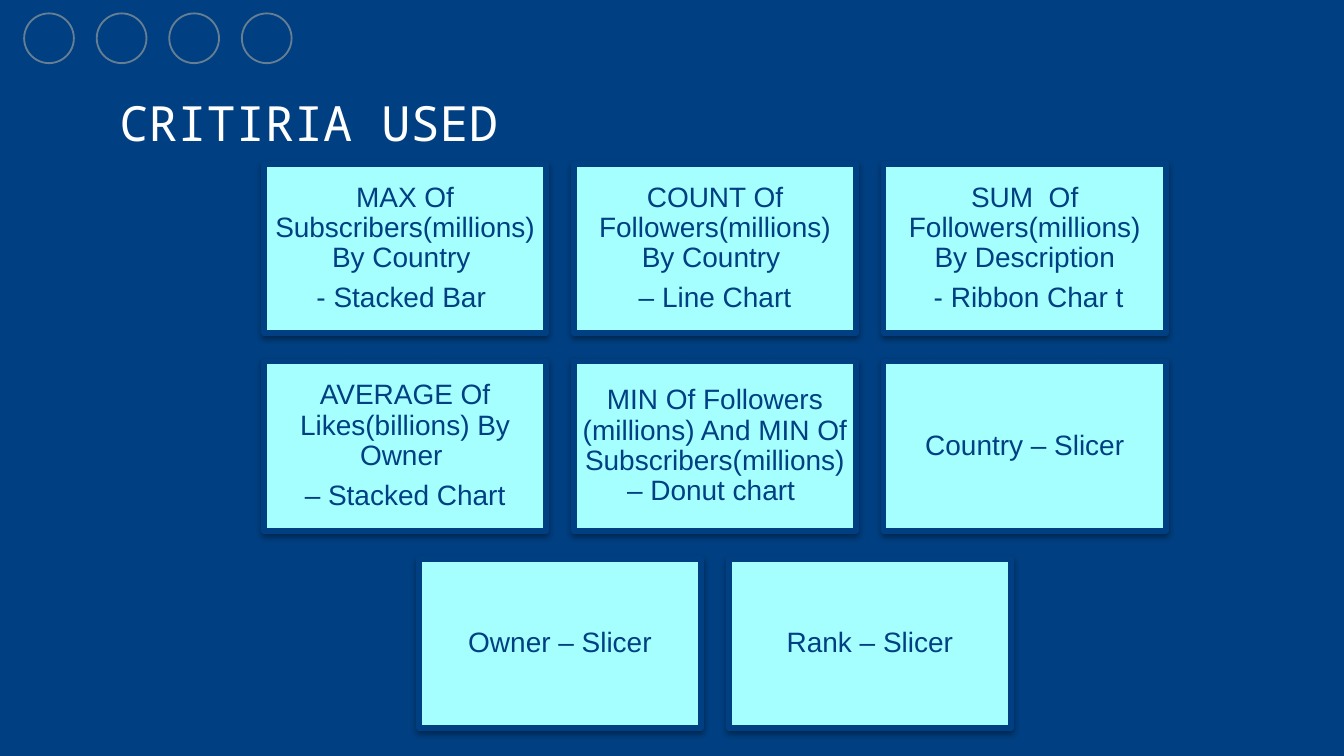
from dataclasses import dataclass

from lxml import etree
from pptx import Presentation
from pptx import util as u
from pptx.dml.color import RGBColor
from pptx.enum import shapes, text
from pptx.oxml.ns import qn

NAVY = RGBColor(0x00, 0x3F, 0x81)
AQUA = RGBColor(0xA5, 0xFF, 0xFF)
WHITE = RGBColor(0xFF, 0xFF, 0xFF)
SLATE = RGBColor(0x65, 0x7E, 0x93)

# Card grid, in inches
CARD_WIDTH, CARD_HEIGHT = 2.1, 1.26
COLUMN_STEP, ROW_STEP = 2.305, 1.47
GRID_CENTER, GRID_TOP = 5.32, 1.22

# Icon rings, in inches
RING_COUNT, RING_SIZE = 4, 0.37
RING_LEFT, RING_TOP, RING_STEP = 0.18, 0.1, 0.54


@dataclass(frozen=True)
class Card:
    lines: tuple[str, ...]


CARD_ROWS = (
    (
        Card(("MAX Of Subscribers(millions) By Country ", "- Stacked Bar ")),
        Card(("COUNT Of Followers(millions) By Country ", "– Line Chart")),
        Card(("SUM  Of Followers(millions) By Description", " - Ribbon Char t")),
    ),
    (
        Card(("AVERAGE Of Likes(billions) By Owner ", "– Stacked Chart")),
        Card(("MIN Of Followers (millions) And MIN Of Subscribers(millions) – Donut chart ",)),
        Card(("Country – Slicer",)),
    ),
    (Card(("Owner – Slicer",)), Card(("Rank – Slicer",))),
)


def write_text(shape, lines: tuple[str, ...], *, font: str, size: float,
               color: RGBColor, inset: float, align=text.PP_ALIGN.LEFT,
               anchor=text.MSO_ANCHOR.TOP, line_spacing: float = 1.0,
               space_after: float = 0) -> None:
    frame = shape.text_frame
    frame.word_wrap = True
    frame.vertical_anchor = anchor
    frame.margin_left = frame.margin_right = u.Inches(inset)
    frame.margin_top = frame.margin_bottom = u.Inches(inset)
    for index, line in enumerate(lines):
        paragraph = frame.add_paragraph() if index else frame.paragraphs[0]
        paragraph.alignment = align
        paragraph.line_spacing = line_spacing
        paragraph.space_after = u.Pt(space_after)
        run = paragraph.add_run()
        run.text = line
        run.font.name = font
        run.font.size = u.Pt(size)
        run.font.color.rgb = color


def add_drop_shadow(shape) -> None:
    effects = shape._element.spPr.find(qn("a:effectLst"))
    shadow = etree.SubElement(
        effects, qn("a:outerShdw"), blurRad=str(u.Pt(3.1)), dist=str(u.Pt(1.6)),
        dir="5400000", algn="ctr", rotWithShape="0")
    color = etree.SubElement(shadow, qn("a:srgbClr"), val="000000")
    etree.SubElement(color, qn("a:alpha"), val="38000")


def draw_card(slide, card: Card, left: float, top: float) -> None:
    shape = slide.shapes.add_shape(
        shapes.MSO_SHAPE.RECTANGLE, u.Inches(left), u.Inches(top),
        u.Inches(CARD_WIDTH), u.Inches(CARD_HEIGHT))
    shape.fill.solid()
    shape.fill.fore_color.rgb = AQUA
    shape.line.color.rgb = NAVY
    shape.line.width = u.Pt(3)
    shape.shadow.inherit = False
    add_drop_shadow(shape)
    write_text(shape, card.lines, font="Arial", size=15, color=NAVY, inset=0.06,
               align=text.PP_ALIGN.CENTER, anchor=text.MSO_ANCHOR.MIDDLE,
               line_spacing=0.9, space_after=5.25)


def draw_ring(slide, left: float) -> None:
    ring = slide.shapes.add_shape(
        shapes.MSO_SHAPE.OVAL, u.Inches(left), u.Inches(RING_TOP),
        u.Inches(RING_SIZE), u.Inches(RING_SIZE))
    ring.fill.background()
    ring.line.color.rgb = SLATE
    ring.line.width = u.Pt(1)
    ring.shadow.inherit = False


def main() -> None:
    presentation = Presentation()
    presentation.slide_width = u.Inches(10)
    presentation.slide_height = u.Inches(5.625)
    slide = presentation.slides.add_slide(presentation.slide_layouts[6])
    slide.background.fill.solid()
    slide.background.fill.fore_color.rgb = NAVY

    # Title
    title = slide.shapes.add_textbox(
        u.Inches(0.79), u.Inches(0.59), u.Inches(8.43), u.Inches(0.63))
    write_text(title, ("CRITIRIA USED",), font="Noto Sans Mono", size=26,
               color=WHITE, inset=0.1)

    # Criteria cards, each row centred
    for row_index, row in enumerate(CARD_ROWS):
        row_width = CARD_WIDTH + (len(row) - 1) * COLUMN_STEP
        row_left = GRID_CENTER - row_width / 2
        for column_index, card in enumerate(row):
            draw_card(slide, card, row_left + column_index * COLUMN_STEP,
                      GRID_TOP + row_index * ROW_STEP)

    # Plain icon rings
    for index in range(RING_COUNT):
        draw_ring(slide, RING_LEFT + index * RING_STEP)

    presentation.save("out.pptx")


if __name__ == "__main__":
    main()
